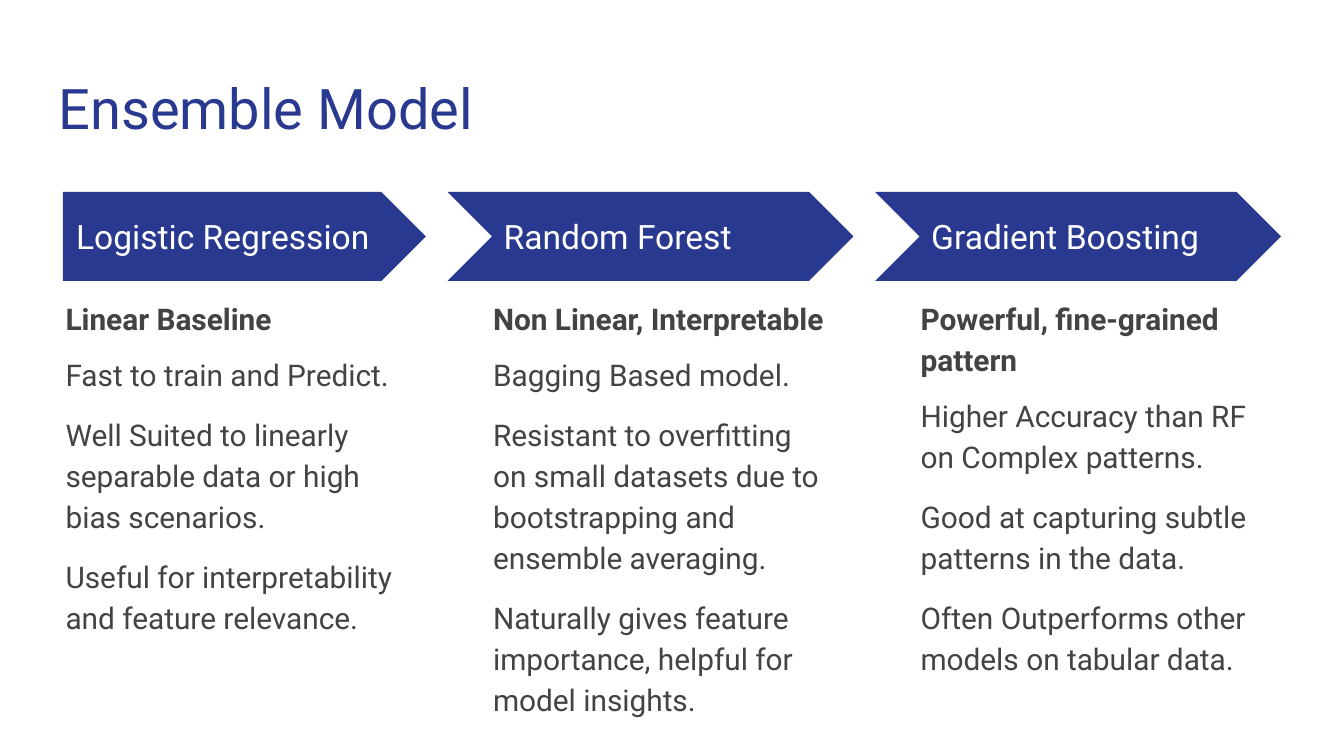
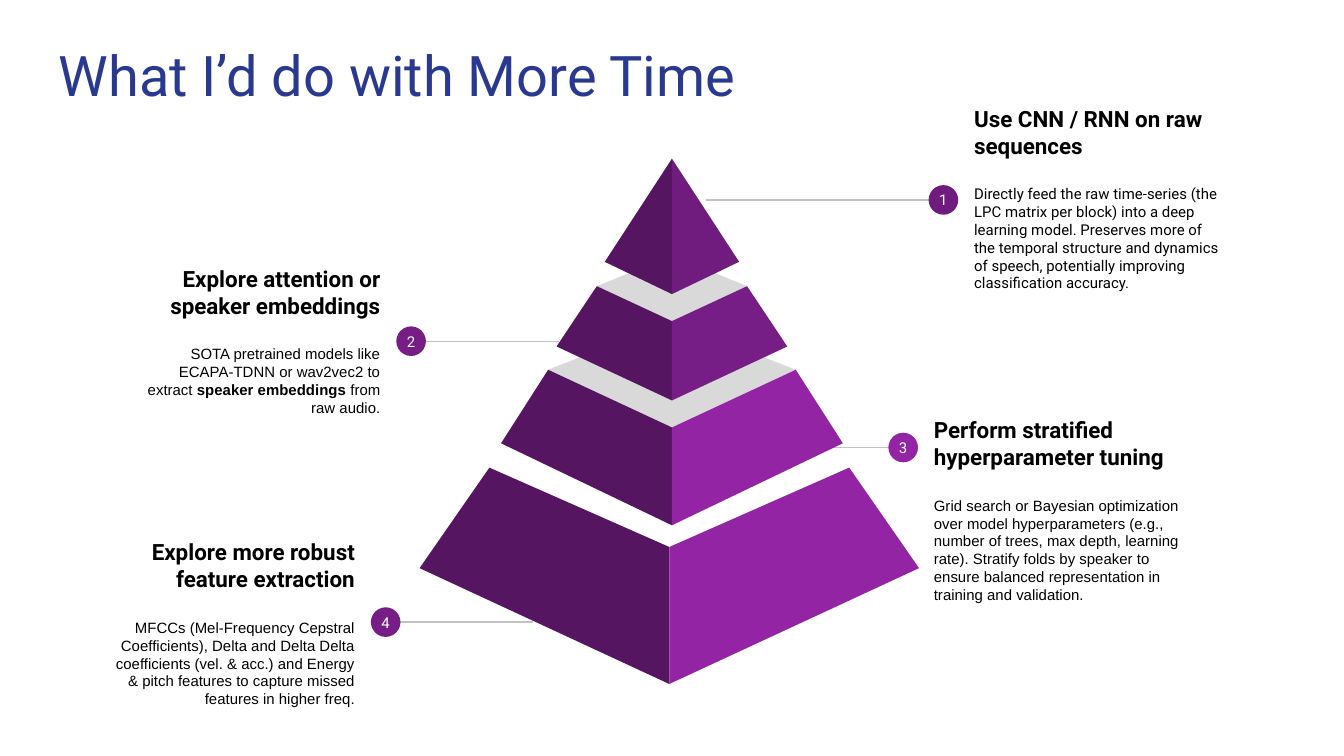
import pptx
import pptx.util
import pptx.dml.color
import pptx.enum.text
import pptx.enum.shapes
import lxml.etree

Cm = pptx.util.Cm
Pt = pptx.util.Pt
ALIGN = pptx.enum.text.PP_ALIGN
ANCHOR = pptx.enum.text.MSO_ANCHOR
SHAPE = pptx.enum.shapes.MSO_SHAPE

NAVY, GREY, BLACK, WHITE = "2A3990", "434343", "000000", "FFFFFF"
LINE, LID, SHADE = "C2C2C2", "D9D9D9", "561561"
PLUM, VIOLET, ORCHID = "701C7F", "771E86", "9325A5"
ROBOTO, ARIAL = "Roboto", "Arial"

MODELS = [
    ("Logistic Regression", "Linear Baseline", 7.37, [
        "Fast to train and Predict.",
        "Well Suited to linearly separable data or high bias scenarios.",
        "Useful for interpretability and feature relevance."]),
    ("Random Forest", "Non Linear, Interpretable", 8.31, [
        "Bagging Based model.",
        "Resistant to overfitting on small datasets due to bootstrapping and ensemble averaging.",
        "Naturally gives feature importance, helpful for model insights."]),
    ("Gradient Boosting", "Powerful, fine-grained pattern", 7.37, [
        "Higher Accuracy than RF on Complex patterns.",
        "Good at capturing subtle patterns in the data.",
        "Often Outperforms other models on tabular data."]),
]

IDEAS = [
    dict(number="3", heading="Perform stratified hyperparameter tuning",
         body=[("Grid search or Bayesian optimization over model hyperparameters (e.g., number of "
                "trees, max depth, learning rate). Stratify folds by speaker to ensure balanced "
                "representation in training and validation.", False)],
         font=ARIAL, color=ORCHID, center=(17.07, 8.46), tip=15.72, top=7.72),
    dict(number="2", heading="Explore attention or speaker embeddings",
         body=[("SOTA pretrained models like ECAPA-TDNN or wav2vec2 to extract ", False),
               ("speaker embeddings", True), (" from raw audio.", False)],
         font=ARIAL, color=VIOLET, center=(7.77, 6.45), tip=10.57, top=4.52),
    dict(number="1", heading="Use CNN / RNN on raw sequences",
         body=[("Directly feed the raw time-series (the LPC matrix per block) into a deep learning "
                "model. Preserves more of the temporal structure and dynamics of speech, "
                "potentially improving classification accuracy.", False)],
         font=ROBOTO, color=PLUM, center=(17.83, 3.78), tip=13.34, top=1.83),
    dict(number="4", heading="Explore more robust feature extraction",
         body=[("MFCCs (Mel-Frequency Cepstral Coefficients), Delta and Delta Delta coefficients "
                "(vel. & acc.) and Energy & pitch features to capture missed features in higher "
                "freq.", False)],
         font=ARIAL, color=VIOLET, center=(7.29, 11.76), tip=10.08, top=9.86),
]

# axis, back of lid, (half width, y) of shoulder and foot, front ridge top and bottom, colour
TIERS = [
    (12.7, 6.07, (2.34, 6.99), (3.23, 8.38), 8.08, 9.93, ORCHID),
    (12.7, 4.83, (1.42, 5.41), (2.18, 6.55), 6.07, 7.57, VIOLET),
    (12.7, None, (0, 3.0), (1.27, 4.95), 3.0, 5.56, PLUM),
    (12.65, None, (3.4, 8.84), (4.72, 10.74), 10.34, 12.93, ORCHID),
]


def rgb(color):
    return pptx.dml.color.RGBColor.from_string(color)


def paint(sp, color):
    sp.shadow.inherit = False
    sp.fill.solid()
    sp.fill.fore_color.rgb = rgb(color)
    sp.line.fill.background()
    return sp


def add_run(p, text, size, color, bold=False, font=ROBOTO):
    r = p.add_run()
    r.text = text
    r.font.name, r.font.size, r.font.bold = font, Pt(size), bold
    r.font.color.rgb = rgb(color)


def set_frame(tf, inset, anchor):
    tf.word_wrap = True
    tf.vertical_anchor = anchor
    tf.margin_left = tf.margin_right = tf.margin_top = tf.margin_bottom = Cm(inset)
    return tf


def add_text(slide, left, top, width, height, anchor=ANCHOR.TOP):
    sp = slide.shapes.add_textbox(Cm(left), Cm(top), Cm(width), Cm(height))
    return set_frame(sp.text_frame, 0.25, anchor)


def add_preset(slide, kind, left, top, width, height, color):
    return paint(slide.shapes.add_shape(kind, Cm(left), Cm(top), Cm(width), Cm(height)), color)


def add_face(slide, points, color):
    points = [(Cm(x), Cm(y)) for x, y in points]
    builder = slide.shapes.build_freeform(*points[0], scale=1.0)
    builder.add_line_segments(points[1:], close=True)
    paint(builder.convert_to_shape(), color)


def add_slide(prs, title, top):
    slide = prs.slides.add_slide(prs.slide_layouts[6])
    tf = add_text(slide, 0.86, top, 23.67, 1.68)
    add_run(tf.paragraphs[0], title, 30, NAVY)
    return slide


def add_model(slide, i, name, heading, height, points):
    shift = 8.08 * i
    right = 8.05 + shift
    kind, width = (SHAPE.CHEVRON, 7.67) if i else (SHAPE.PENTAGON, 6.86)
    add_preset(slide, kind, right - width, 3.63, width, 1.68, NAVY)
    tf = add_text(slide, 1.19 + shift, 4.04, 6.27, 0.86, ANCHOR.MIDDLE)
    add_run(tf.paragraphs[0], name, 18, WHITE)

    tf = add_text(slide, 0.99 + shift, 5.33, 6.86, height)
    p = tf.paragraphs[0]
    p.line_spacing = 1.15
    add_run(p, heading, 16, GREY, True)
    for j, point in enumerate(points):
        p = tf.add_paragraph()
        p.line_spacing = 1.15
        p.space_before = Pt(10 if j else 8)
        add_run(p, point, 16, GREY)


def add_idea(slide, number, heading, body, font, color, center, tip, top):
    x, y = center
    on_left = x < tip
    width, gap, size = 5.18, 0.33, 0.56

    line = slide.shapes.add_connector(
        pptx.enum.shapes.MSO_CONNECTOR.STRAIGHT, Cm(tip), Cm(y), Cm(x), Cm(y))
    line.line.color.rgb = rgb(LINE)
    line.line.width = Pt(0.75)
    lxml.etree.SubElement(line._element.spPr, pptx.oxml.ns.qn("a:effectLst"))

    tf = add_text(slide, x - gap - width if on_left else x + gap, top, width, 3.84, ANCHOR.MIDDLE)
    p = tf.paragraphs[0]
    add_run(p, heading, 12, BLACK, True)
    q = tf.add_paragraph()
    q.space_before = Pt(14)
    for text, bold in body:
        add_run(q, text, 8, BLACK, bold, font)
    p.alignment = q.alignment = ALIGN.RIGHT if on_left else ALIGN.LEFT

    sp = add_preset(slide, SHAPE.OVAL, x - size / 2, y - size / 2, size, size, color)
    p = set_frame(sp.text_frame, 0, ANCHOR.MIDDLE).paragraphs[0]
    p.alignment = ALIGN.CENTER
    add_run(p, number, 8, WHITE)


def add_tier(slide, axis, back, shoulder, foot, ridge_top, ridge_bottom, color):
    half, y = shoulder
    if back:
        lid = [(axis - half, y), (axis, ridge_top), (axis + half, y), (axis, back)]
        add_face(slide, lid, LID)
    for side, fill in ((-1, SHADE), (1, color)):
        outer = [(axis + side * dx, dy) for dx, dy in (shoulder, foot)]
        add_face(slide, outer + [(axis, ridge_bottom), (axis, ridge_top)], fill)


def main():
    prs = pptx.Presentation()
    prs.slide_width, prs.slide_height = Cm(25.4), Cm(14.29)

    slide = add_slide(prs, "Ensemble Model", 1.14)
    for i, model in enumerate(MODELS):
        add_model(slide, i, *model)

    slide = add_slide(prs, "What I’d do with More Time", 0.51)
    for idea in IDEAS:
        add_idea(slide, **idea)
    for tier in TIERS:
        add_tier(slide, *tier)

    prs.save("out.pptx")


if __name__ == "__main__":
    main()
